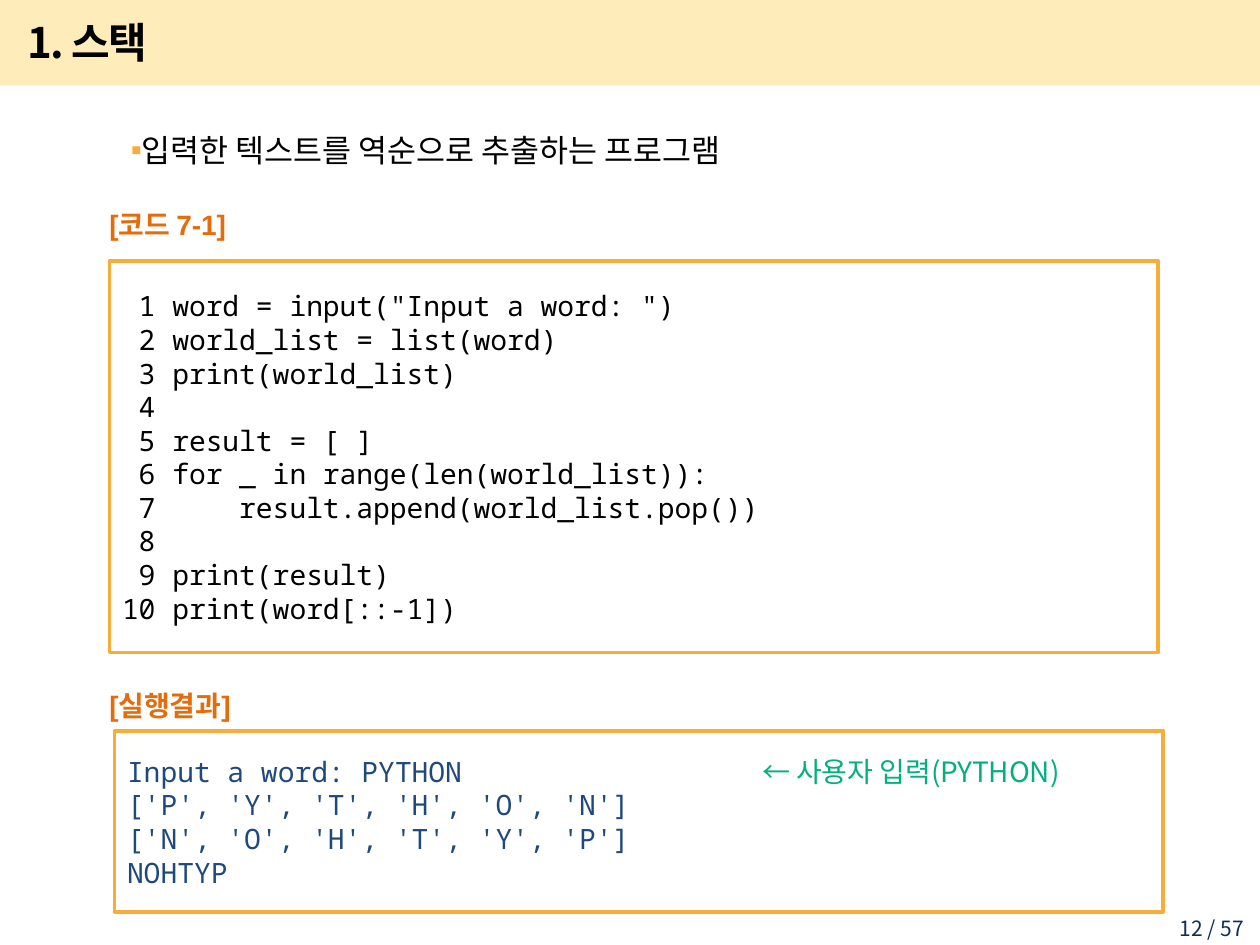
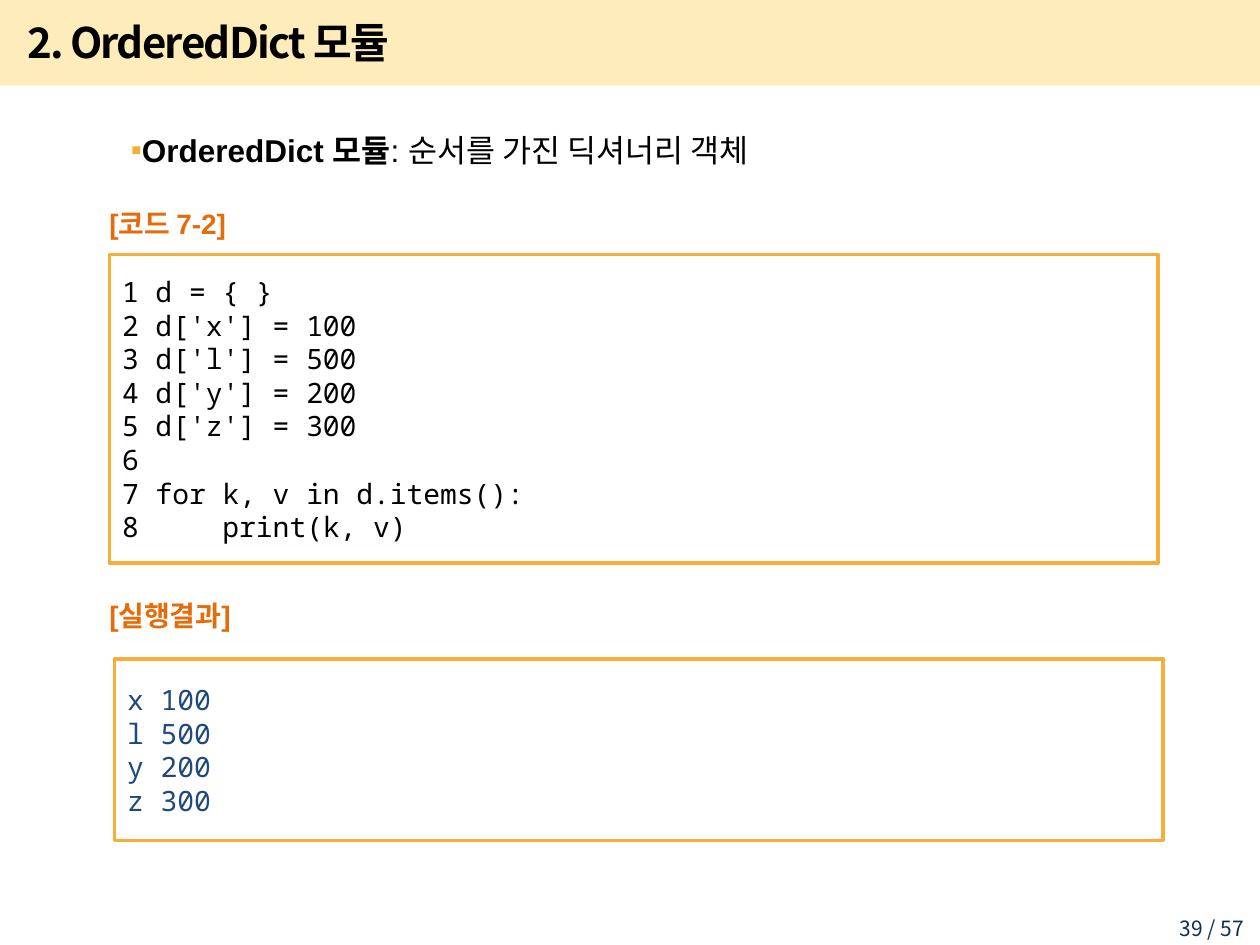
import pptx
import pptx.dml.color
import pptx.enum.shapes
import pptx.enum.text
import pptx.util
import lxml.etree

COLS, ROWS = 100, 75
KOREAN, MONO, LATIN = "Noto Sans CJK KR", "Noto Sans Mono", "Arial"
BLACK, BAND, AMBER, ORANGE = "000000", "FEEDBA", "F6AD3A", "E46C0A"
NAVY, BLUE, GREEN = "0F2E53", "1F497D", "02AF7E"
TOP, MIDDLE = pptx.enum.text.MSO_ANCHOR.TOP, pptx.enum.text.MSO_ANCHOR.MIDDLE
LEFT, RIGHT = pptx.enum.text.PP_ALIGN.LEFT, pptx.enum.text.PP_ALIGN.RIGHT

deck = pptx.Presentation()
deck.slide_width = pptx.util.Inches(10)
deck.slide_height = pptx.util.Inches(7.5)


def rgb(tone):
    """Turn a hex string into a colour."""
    return pptx.dml.color.RGBColor.from_string(tone)


def place(box):
    """Turn columns and rows of the grid into slide lengths."""
    units = (deck.slide_width / COLS, deck.slide_height / ROWS) * 2
    return [round(n * unit) for n, unit in zip(box, units)]


def add_tag(parent, tag, **attrs):
    """Append a drawing element with its attributes."""
    node = lxml.etree.SubElement(parent, pptx.oxml.ns.qn(tag))
    for name, value in attrs.items():
        node.set(name, str(value))
    return node


def add_run(para, text, size=16, font=LATIN, tone=BLACK, bold=False, track=0):
    """Add one run of text in the given format."""
    run = para.add_run()
    run.text = text
    run.font.size = pptx.util.Pt(size)
    run.font.name = font
    run.font.bold = bold
    run.font.color.rgb = rgb(tone)
    props = run.font._element
    if track:
        props.set("spc", str(track))
    add_tag(props, "a:ea", typeface=KOREAN)


def write(shape, lines, anchor=MIDDLE, align=LEFT, **style):
    """Write lines, each a string or a list of text and format pairs."""
    frame = shape.text_frame
    frame.word_wrap = True
    frame.vertical_anchor = anchor
    for i, line in enumerate(lines):
        para = frame.add_paragraph() if i else frame.paragraphs[0]
        para.alignment = align
        for text, extra in [(line, {})] if isinstance(line, str) else line:
            add_run(para, text, **{**style, **extra})
    return frame


def add_text(slide, box, lines, **style):
    """Add a text box on the grid."""
    return write(slide.shapes.add_textbox(*place(box)), lines, **style)


def add_rect(slide, box, fill=None, edge=None):
    """Add a flat rectangle on the grid."""
    kind = pptx.enum.shapes.MSO_SHAPE.RECTANGLE
    rect = slide.shapes.add_shape(kind, *place(box))
    rect.shadow.inherit = False
    if fill:
        rect.fill.solid()
        rect.fill.fore_color.rgb = rgb(fill)
    else:
        rect.fill.background()
    if edge:
        rect.line.color.rgb = rgb(edge)
        rect.line.width = pptx.util.Pt(2)
    else:
        rect.line.fill.background()
    return rect


def add_base(title, page):
    """Start a slide with its title band and page number."""
    slide = deck.slides.add_slide(deck.slide_layouts[6])
    add_rect(slide, (0, 0, COLS, 6.8), fill=BAND)
    add_text(slide, (1.2, 0.7, 85, 5.2), [title],
             size=24, font=KOREAN, bold=True, track=-100)
    add_text(slide, (90.5, 72.2, 9.2, 2.3), [f"{page} / 57"],
             anchor=TOP, align=RIGHT, size=12, font=KOREAN, tone=NAVY)
    return slide


def add_point(slide, box, runs):
    """Add the bulleted statement above the code."""
    frame = add_text(slide, box, [[]], anchor=TOP)
    para = frame.paragraphs[0]
    para.line_spacing = 1.5
    props = para._p.get_or_add_pPr()
    props.set("marL", str(pptx.util.Inches(0.39)))
    props.set("indent", str(pptx.util.Inches(0.2)))
    add_tag(add_tag(props, "a:buClr"), "a:srgbClr", val=AMBER)
    add_tag(props, "a:buFont", typeface=LATIN)
    add_tag(props, "a:buChar", char="▪")
    for text, bold in runs:
        add_run(para, text, size=18, bold=bold)


def add_label(slide, row, high, text):
    """Add an orange heading at the left margin."""
    add_text(slide, (7.7, row, 15.7, high), [text], tone=ORANGE, bold=True)


def add_code(slide, row, high, code):
    """Add a framed listing with numbered lines."""
    lines = code.split("\n")
    wide = len(str(len(lines)))
    rows = [f"{n:>{wide}} {line}".rstrip() for n, line in enumerate(lines, 1)]
    rect = add_rect(slide, (8.7, row, 83.2, high), edge=AMBER)
    write(rect, rows, font=MONO)


def add_output(slide, row, lines):
    """Add the framed program output, with a tab stop for remarks."""
    rect = add_rect(slide, (9.1, row, 83.2, 14.4), edge=AMBER)
    frame = write(rect, lines, font=MONO, tone=BLUE)
    if not isinstance(lines[0], str):
        props = frame.paragraphs[0]._p.get_or_add_pPr()
        stops = add_tag(props, "a:tabLst")
        add_tag(stops, "a:tab", pos=pptx.util.Inches(5.04), algn="l")


def add_lesson(title, page, point, code, output, label, rows):
    """Build a slide with a statement, a listing and its output."""
    slide = add_base(title, page)
    add_point(slide, (3.5, 8.4, 91.5, 6), point)
    head, top, high, result, shown = rows
    add_code(slide, top, high, code)
    add_label(slide, head, 5, label)
    add_label(slide, result, 5.5, "[실행결과]")
    add_output(slide, shown, output)


STACK = """word = input("Input a word: ")
world_list = list(word)
print(world_list)

result = [ ]
for _ in range(len(world_list)):
    result.append(world_list.pop())

print(result)
print(word[::-1])"""

ORDER = """d = { }
d['x'] = 100
d['l'] = 500
d['y'] = 200
d['z'] = 300

for k, v in d.items():
    print(k, v)"""


def main():
    """Build both lessons and save the deck."""
    remark = ("\t← 사용자 입력(PYTHON)", {"font": KOREAN, "tone": GREEN})
    add_lesson(
        "1. 스택", 12, [("입력한 텍스트를 역순으로 추출하는 프로그램", False)], STACK,
        [[("Input a word: PYTHON", {}), remark],
         "['P', 'Y', 'T', 'H', 'O', 'N']",
         "['N', 'O', 'H', 'T', 'Y', 'P']", "NOHTYP"],
        "[코드 7-1]", (15.3, 20.7, 31.1, 53.2, 58))
    add_lesson(
        "2. OrderedDict 모듈", 39,
        [("OrderedDict 모듈", True), (": 순서를 가진 딕셔너리 객체", False)], ORDER,
        ["x 100", "l 500", "y 200", "z 300"],
        "[코드 7-2]", (15.2, 20.2, 24.5, 46.1, 52.3))
    deck.save("out.pptx")


if __name__ == "__main__":
    main()
